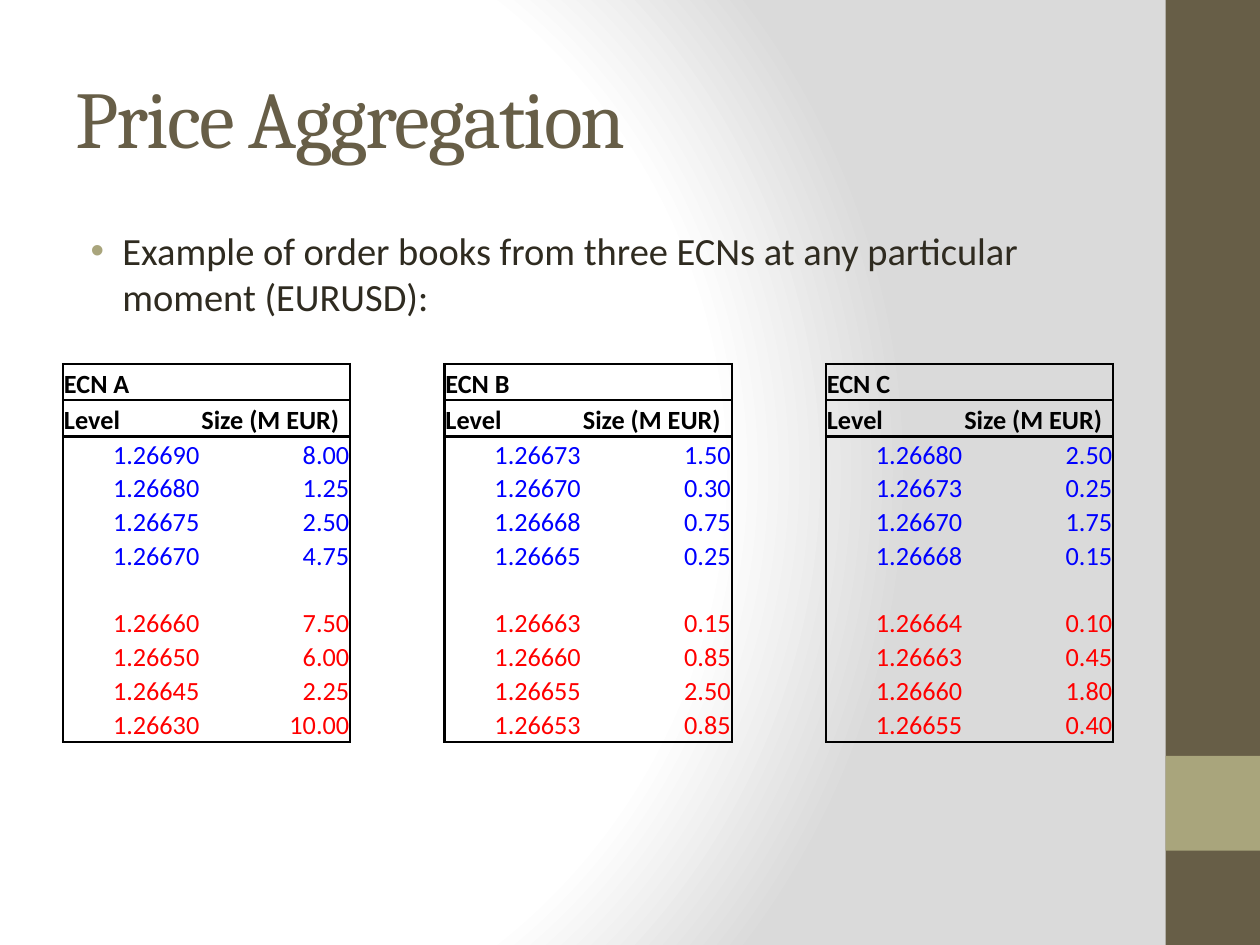
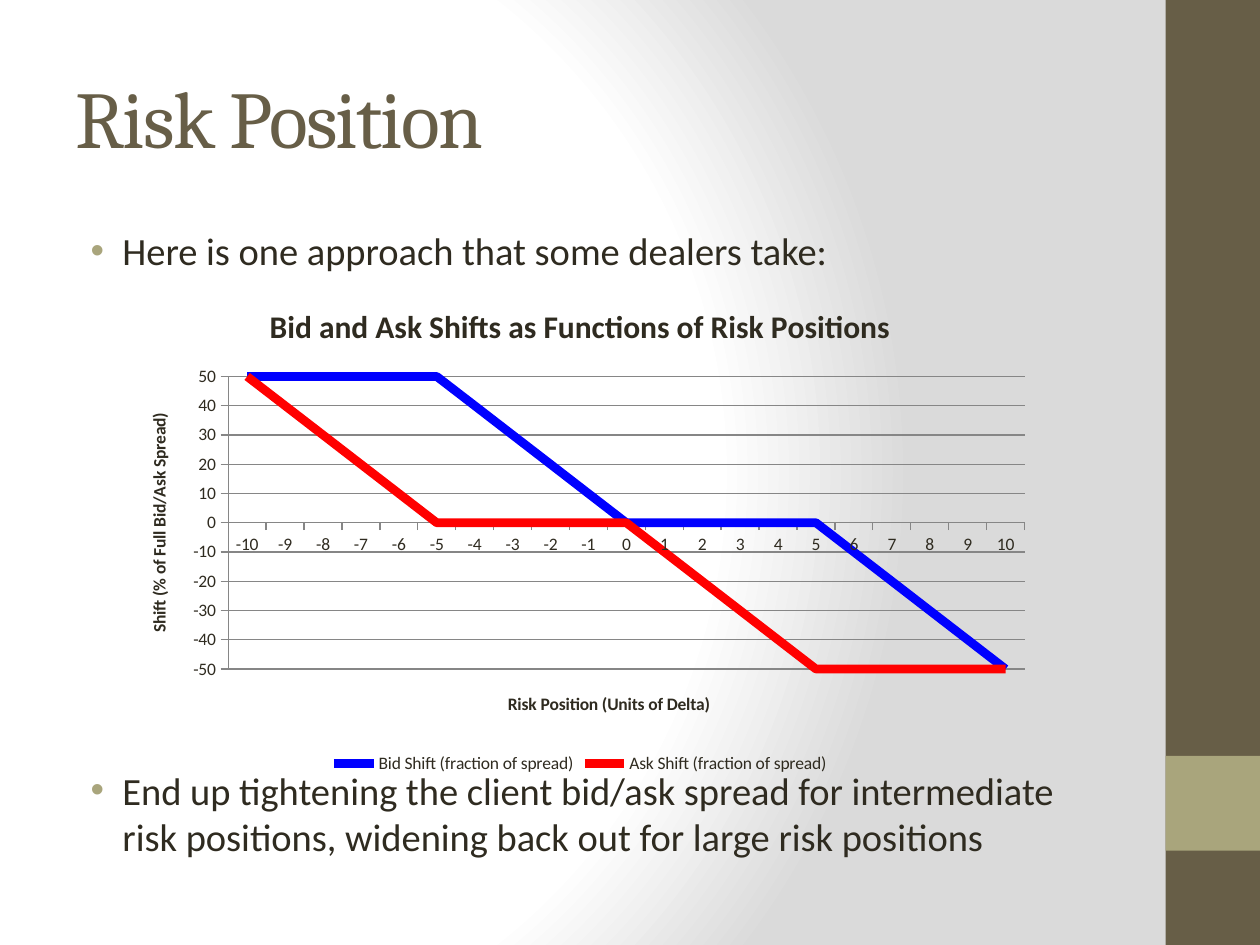
from lxml import etree
from pptx import Presentation
from pptx import util as u
from pptx.chart import data as chart_data
from pptx.dml.color import RGBColor
from pptx.enum import chart as chart_enum, shapes, text
from pptx.oxml import ns

COLOURS = {
    "band": "675E47", "accent": "A9A57C", "body": "2F2B20",
    "white": "FFFFFF", "shade": "DADADA", "line": "000000",
    "grid": "868686", "bid": "0000FF", "ask": "FF0000",
}
BODY_FONT, TITLE_FONT = "Calibri", "Cambria"
MARGIN, CONTENT_WIDTH, BODY_TOP = 1.27, 21.16, 4.45

BOOKS_TITLE = "Price Aggregation"
BOOKS_BULLETS = [("Example of order books from three ECNs at any particular moment (EURUSD):", 0)]
HEADERS = ("Level", "Size (M EUR)")
ORDER_BOOKS = [
    ("ECN A",
     [("1.26690", "8.00"), ("1.26680", "1.25"), ("1.26675", "2.50"), ("1.26670", "4.75")],
     [("1.26660", "7.50"), ("1.26650", "6.00"), ("1.26645", "2.25"), ("1.26630", "10.00")]),
    ("ECN B",
     [("1.26673", "1.50"), ("1.26670", "0.30"), ("1.26668", "0.75"), ("1.26665", "0.25")],
     [("1.26663", "0.15"), ("1.26660", "0.85"), ("1.26655", "2.50"), ("1.26653", "0.85")]),
    ("ECN C",
     [("1.26680", "2.50"), ("1.26673", "0.25"), ("1.26670", "1.75"), ("1.26668", "0.15")],
     [("1.26664", "0.10"), ("1.26663", "0.45"), ("1.26660", "1.80"), ("1.26655", "0.40")]),
]
LEVEL_WIDTH, SIZE_WIDTH, GAP_WIDTH = 2.77, 3.02, 1.9
ROW_HEIGHTS = [0.73, 0.73, 0.7] + [0.68] * 7 + [0.7]

RISK_TITLE = "Risk Position"
RISK_BULLETS = [
    ("Here is one approach that some dealers take:", 0),
    ("End up tightening the client bid/ask spread for intermediate "
     "risk positions, widening back out for large risk positions", 282),
]
CHART_TITLE = "Bid and Ask Shifts as Functions of Risk Positions"
POSITION_TITLE = "Risk Position (Units of Delta)"
SHIFT_TITLE = "Shift (% of Full Bid/Ask Spread)"
POSITIONS = range(-10, 11)
SHIFTS = [
    ("Bid Shift (fraction of spread)", "bid",
     [50] * 5 + [50, 40, 30, 20, 10] + [0] * 6 + [-10, -20, -30, -40, -50]),
    ("Ask Shift (fraction of spread)", "ask",
     [50, 40, 30, 20, 10] + [0] * 6 + [-10, -20, -30, -40, -50] + [-50] * 5),
]
PLOT_AREA = {"x": 0.12, "y": 0.19, "w": 0.86, "h": 0.59}


def colour(name):
    return RGBColor.from_string(COLOURS[name])


def add_xml(parent, tag, **attributes):
    return etree.SubElement(parent, ns.qn(tag), attributes)


def add_colour(parent, name):
    add_xml(parent, "a:srgbClr", val=COLOURS[name])


def add_run(paragraph, wording, size, colour_name, font=BODY_FONT, bold=False):
    run = paragraph.add_run()
    run.text = wording
    run.font.size = u.Pt(size)
    run.font.name = font
    run.font.bold = bold
    run.font.color.rgb = colour(colour_name)
    return run


def paint_background(master):
    master.background.fill.gradient()
    gradient = next(master.element.iter(ns.qn("a:gradFill")))
    for child in list(gradient):
        gradient.remove(child)
    stops = add_xml(gradient, "a:gsLst")
    for position, name in ((0, "white"), (75, "white"), (100, "shade")):
        add_colour(add_xml(stops, "a:gs", pos=str(position * 1000)), name)
    circle = add_xml(gradient, "a:path")
    circle.set("path", "circle")
    add_xml(circle, "a:fillToRect", l="20000", t="50000", r="100000", b="50000")


def add_text_box(slide, top, height):
    box = slide.shapes.add_textbox(u.Cm(MARGIN), u.Cm(top), u.Cm(CONTENT_WIDTH), u.Cm(height))
    box.text_frame.word_wrap = True
    return box.text_frame


def add_base_slide(presentation, title):
    slide = presentation.slides.add_slide(presentation.slide_layouts[6])
    for top, height, name in ((0, 19.05, "band"), (15.24, 1.91, "accent")):
        shape = slide.shapes.add_shape(
            shapes.MSO_SHAPE.RECTANGLE, u.Cm(23.5), u.Cm(top), u.Cm(1.9), u.Cm(height))
        shape.shadow.inherit = False
        shape.fill.solid()
        shape.fill.fore_color.rgb = colour(name)
        shape.line.fill.background()
    frame = add_text_box(slide, 0.76, 3.18)
    frame.vertical_anchor = text.MSO_ANCHOR.MIDDLE
    run = add_run(frame.paragraphs[0], title, 46, "band", TITLE_FONT)
    run.font._element.set("spc", "-100")
    return slide


def add_bullets(slide, bullets, height):
    frame = add_text_box(slide, BODY_TOP, height)
    for index, (wording, space_before) in enumerate(bullets):
        paragraph = frame.add_paragraph() if index else frame.paragraphs[0]
        paragraph.space_before = u.Pt(space_before)
        properties = paragraph._p.get_or_add_pPr()
        properties.set("marL", str(u.Cm(0.95)))
        properties.set("indent", str(-u.Cm(0.64)))
        add_colour(add_xml(properties, "a:buClr"), "accent")
        add_xml(properties, "a:buFont", typeface="Arial")
        add_xml(properties, "a:buChar", char="•")
        add_run(paragraph, wording, 22, "body")


def set_borders(cell, row_index, column_index):
    place = column_index % 3
    in_book = place < 2
    drawn = {
        "L": place != 1,
        "R": place != 0,
        "T": in_book and row_index <= 2,
        "B": in_book and row_index in (0, 1, len(ROW_HEIGHTS) - 1),
    }
    properties = cell._tc.get_or_add_tcPr()
    for index, (side, visible) in enumerate(drawn.items()):
        line = etree.Element(ns.qn("a:ln" + side), w=str(u.Pt(1.5)))
        if visible:
            add_colour(add_xml(line, "a:solidFill"), "line")
        else:
            add_xml(line, "a:noFill")
        properties.insert(index, line)


def book_rows(book):
    name, bids, asks = book
    rows = [((name, ""), "line", True), (HEADERS, "line", True)]
    rows += [(quote, "bid", False) for quote in bids]
    rows.append((("", ""), "line", False))
    return rows + [(quote, "ask", False) for quote in asks]


def add_order_books(slide):
    widths = [LEVEL_WIDTH, SIZE_WIDTH, GAP_WIDTH] * len(ORDER_BOOKS)
    widths.pop()
    frame = slide.shapes.add_table(
        len(ROW_HEIGHTS), len(widths), u.Cm(MARGIN), u.Cm(7.34),
        u.Cm(sum(widths)), u.Cm(sum(ROW_HEIGHTS)))
    table = frame.table
    table.first_row = table.horz_banding = False
    style = next(table._tbl.iter(ns.qn("a:tableStyleId")))
    style.text = "{2D5ABB26-0587-4C30-8999-92F81FD0307C}"
    for column, width in zip(table.columns, widths):
        column.width = u.Cm(width)
    for row_index, (row, height) in enumerate(zip(table.rows, ROW_HEIGHTS)):
        row.height = u.Cm(height)
        for column_index, cell in enumerate(row.cells):
            cell.fill.background()
            cell.margin_left = cell.margin_right = cell.margin_top = u.Cm(0.02)
            cell.margin_bottom = 0
            cell.vertical_anchor = text.MSO_ANCHOR.BOTTOM
            cell.text_frame.paragraphs[0].font.size = u.Pt(15)
            set_borders(cell, row_index, column_index)
    for book_index, book in enumerate(ORDER_BOOKS):
        for row_index, (values, colour_name, heading) in enumerate(book_rows(book)):
            for offset, value in enumerate(values):
                if value:
                    cell = table.cell(row_index, book_index * 3 + offset)
                    paragraph = cell.text_frame.paragraphs[0]
                    if not heading:
                        paragraph.alignment = text.PP_ALIGN.RIGHT
                    add_run(paragraph, value, 15, colour_name, bold=heading)


def add_shift_chart(slide):
    data = chart_data.CategoryChartData()
    data.categories = [str(position) for position in POSITIONS]
    for name, _, values in SHIFTS:
        data.add_series(name, values)
    chart = slide.shapes.add_chart(
        chart_enum.XL_CHART_TYPE.LINE, u.Cm(2.36), u.Cm(5.69), u.Cm(18.67), u.Cm(10), data).chart
    chart.font.size = u.Pt(10)
    chart.font.name = BODY_FONT
    chart.font.color.rgb = colour("body")
    chart.has_title = True
    chart.has_legend = True
    chart.legend.position = chart_enum.XL_LEGEND_POSITION.BOTTOM
    chart.legend.include_in_layout = False
    positions, shifts = chart.category_axis, chart.value_axis
    shifts.minimum_scale, shifts.maximum_scale, shifts.major_unit = -50, 50, 10
    shifts.has_major_gridlines = True
    for line in (positions.format.line, shifts.format.line, shifts.major_gridlines.format.line):
        line.color.rgb = colour("grid")
        line.width = u.Pt(0.75)
    for axis in (positions, shifts):
        axis.major_tick_mark = chart_enum.XL_TICK_MARK.OUTSIDE
    for title, wording, size in ((chart.chart_title, CHART_TITLE, 18),
                                 (positions.axis_title, POSITION_TITLE, 10),
                                 (shifts.axis_title, SHIFT_TITLE, 10)):
        add_run(title.text_frame.paragraphs[0], wording, size, "body", bold=True)
    chart.plots[0].vary_by_categories = False
    for series, (_, colour_name, _) in zip(chart.plots[0].series, SHIFTS):
        series.smooth = False
        series.marker.style = chart_enum.XL_MARKER_STYLE.NONE
        series.format.line.color.rgb = colour(colour_name)
        series.format.line.width = u.Pt(5)
    plot_area = chart._chartSpace.chart.plotArea
    for layout in plot_area.findall(ns.qn("c:layout")):
        plot_area.remove(layout)
    layout = etree.Element(ns.qn("c:layout"))
    plot_area.insert(0, layout)
    manual = add_xml(layout, "c:manualLayout")
    add_xml(manual, "c:layoutTarget", val="inner")
    for side in "xy":
        add_xml(manual, f"c:{side}Mode", val="edge")
    for side, share in PLOT_AREA.items():
        add_xml(manual, f"c:{side}", val=str(share))


def main():
    presentation = Presentation()
    presentation.slide_width, presentation.slide_height = u.Cm(25.4), u.Cm(19.05)
    paint_background(presentation.slide_master)
    books_slide = add_base_slide(presentation, BOOKS_TITLE)
    add_bullets(books_slide, BOOKS_BULLETS, 2.29)
    add_order_books(books_slide)
    risk_slide = add_base_slide(presentation, RISK_TITLE)
    add_bullets(risk_slide, RISK_BULLETS, 14.02)
    add_shift_chart(risk_slide)
    presentation.save("out.pptx")


if __name__ == "__main__":
    main()
